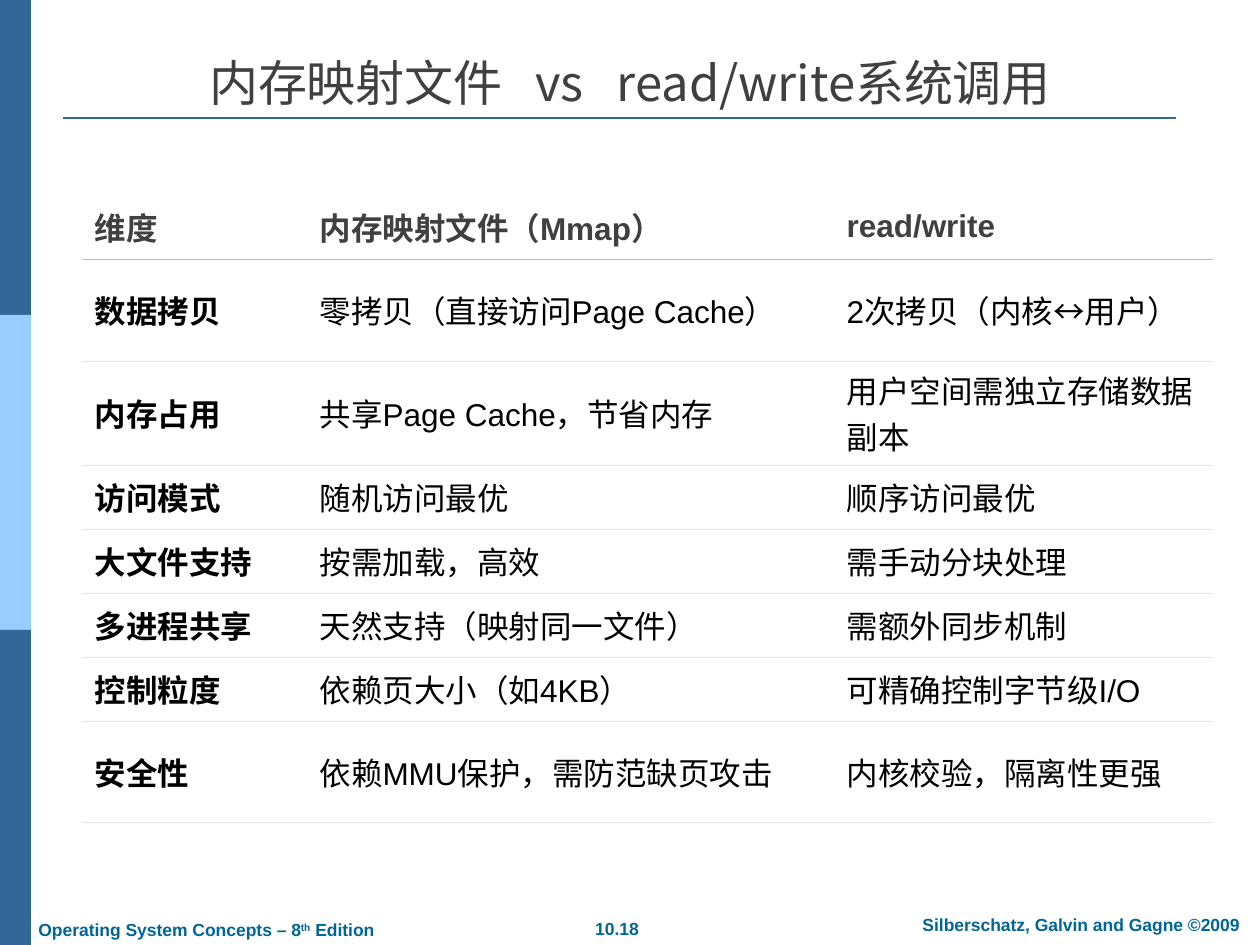
from lxml import etree
from pptx import Presentation
from pptx.dml.color import RGBColor
from pptx.enum.shapes import MSO_CONNECTOR, MSO_SHAPE
from pptx.enum.text import MSO_ANCHOR, PP_ALIGN
from pptx.oxml.ns import qn
from pptx.util import Pt

RECTANGLE = MSO_SHAPE.RECTANGLE
STRAIGHT = MSO_CONNECTOR.STRAIGHT
LEFT, CENTER = PP_ALIGN.LEFT, PP_ALIGN.CENTER
TOP, MIDDLE, BOTTOM = MSO_ANCHOR.TOP, MSO_ANCHOR.MIDDLE, MSO_ANCHOR.BOTTOM

EMU_PER_PX = 914400 / 126
LATIN_FONT, CJK_FONT = "Arial", "Noto Sans CJK SC"
COLORS = {
    "dark_blue": "336699",
    "light_blue": "99CCFF",
    "footer": "006699",
    "heading": "404040",
    "body": "000000",
    "white": "FFFFFF",
    "header_rule": "BBBBBB",
    "row_rule": "E5E5E5",
}

COLUMN_WIDTHS = [225, 527, 379]
ROW_HEIGHTS = [64, 102, 104, 64, 64, 64, 64, 101]
COMPARISON = [
    ("维度", "内存映射文件（Mmap）", "read/write"),
    ("数据拷贝", "零拷贝（直接访问Page Cache）", "2次拷贝（内核↔用户）"),
    ("内存占用", "共享Page Cache，节省内存", "用户空间需独立存储数据副本"),
    ("访问模式", "随机访问最优", "顺序访问最优"),
    ("大文件支持", "按需加载，高效", "需手动分块处理"),
    ("多进程共享", "天然支持（映射同一文件）", "需额外同步机制"),
    ("控制粒度", "依赖页大小（如4KB）", "可精确控制字节级I/O"),
    ("安全性", "依赖MMU保护，需防范缺页攻击", "内核校验，隔离性更强"),
]


def px(length):
    return round(length * EMU_PER_PX)


def rgb(name):
    return RGBColor.from_string(COLORS[name])


def style_paragraph(paragraph, size, color, bold=False, font_name=LATIN_FONT):
    font = paragraph.font
    font.name, font.size, font.bold = font_name, Pt(size), bold
    font.color.rgb = rgb(color)


def add_band(slide, top, color):
    shape = slide.shapes.add_shape(RECTANGLE, 0, px(top), px(31), px(315))
    shape.shadow.inherit = False
    shape.fill.solid()
    shape.fill.fore_color.rgb = rgb(color)
    shape.line.fill.background()


def add_rule(slide, left, right, y):
    line = slide.shapes.add_connector(STRAIGHT, px(left), px(y), px(right), px(y))
    line.line.color.rgb = rgb("dark_blue")
    line.line.width = Pt(1.5)
    etree.SubElement(line._element.spPr, qn("a:effectLst"))


def add_text(slide, box, runs, size, color, align=LEFT, anchor=TOP,
             bold=False, font_name=LATIN_FONT):
    """Add one paragraph; each run is (text, extra run attributes)."""
    frame = slide.shapes.add_textbox(*map(px, box)).text_frame
    frame.word_wrap = True
    frame.vertical_anchor = anchor
    paragraph = frame.paragraphs[0]
    paragraph.alignment = align
    style_paragraph(paragraph, size, color, bold, font_name)
    for text, attributes in runs:
        run = paragraph.add_run()
        run.text = text
        for key, value in attributes.items():
            run._r.get_or_add_rPr().set(key, value)


def set_borders(cell, top, bottom):
    properties = cell._tc.get_or_add_tcPr()
    for side, color in (("L", None), ("R", None), ("T", top), ("B", bottom)):
        border = etree.SubElement(properties, qn(f"a:ln{side}"), w=str(Pt(0.34)))
        if color is None:
            etree.SubElement(border, qn("a:noFill"))
        else:
            fill = etree.SubElement(border, qn("a:solidFill"))
            etree.SubElement(fill, qn("a:srgbClr"), val=COLORS[color])


def add_comparison_table(slide, left, top):
    table = slide.shapes.add_table(
        len(COMPARISON), len(COLUMN_WIDTHS), px(left), px(top),
        px(sum(COLUMN_WIDTHS)), px(sum(ROW_HEIGHTS))).table
    table.first_row = table.horz_banding = False
    for column, width in zip(table.columns, COLUMN_WIDTHS):
        column.width = px(width)

    rule_above = None
    for row_index, texts in enumerate(COMPARISON):
        is_header = row_index == 0
        rule_below = "header_rule" if is_header else "row_rule"
        table.rows[row_index].height = px(ROW_HEIGHTS[row_index])
        for column_index, text in enumerate(texts):
            cell = table.cell(row_index, column_index)
            set_borders(cell, rule_above, rule_below)
            cell.fill.solid()
            cell.fill.fore_color.rgb = rgb("white")
            cell.vertical_anchor = MIDDLE
            cell.text = text
            style_paragraph(cell.text_frame.paragraphs[0], 18,
                            "heading" if is_header else "body",
                            bold=is_header or column_index == 0)
        rule_above = rule_below


def main():
    presentation = Presentation()
    presentation.slide_width, presentation.slide_height = px(1260), px(945)
    slide = presentation.slides.add_slide(presentation.slide_layouts[6])

    # Side bands and title rule
    for index, color in enumerate(("dark_blue", "light_blue", "dark_blue")):
        add_band(slide, 315 * index, color)
    add_rule(slide, 63, 1176, 118)

    # Footer
    footer = {"size": 10, "color": "footer", "bold": True}
    add_text(slide, (550, 912, 134, 34), [("10.18", {})], align=CENTER, **footer)
    add_text(slide, (894, 908, 374, 34),
             [("Silberschatz, Galvin and Gagne ©2009", {})],
             align=CENTER, **footer)
    add_text(slide, (26, 913, 400, 34),
             [("Operating System Concepts – 8", {}),
              ("th", {"baseline": "30000"}), (" Edition", {})], **footer)

    # Title, with widened spaces around "vs"
    wide_space = (" ", {"spc": "1250"})
    add_text(slide, (63, 39, 1134, 79),
             [("内存映射文件", {}), wide_space, ("vs", {}), wide_space,
              ("read/write系统调用", {})],
             28, "heading", align=CENTER, anchor=BOTTOM, font_name=CJK_FONT)

    # Comparison of the two approaches
    add_comparison_table(slide, 82, 195)

    presentation.save("out.pptx")


if __name__ == "__main__":
    main()
